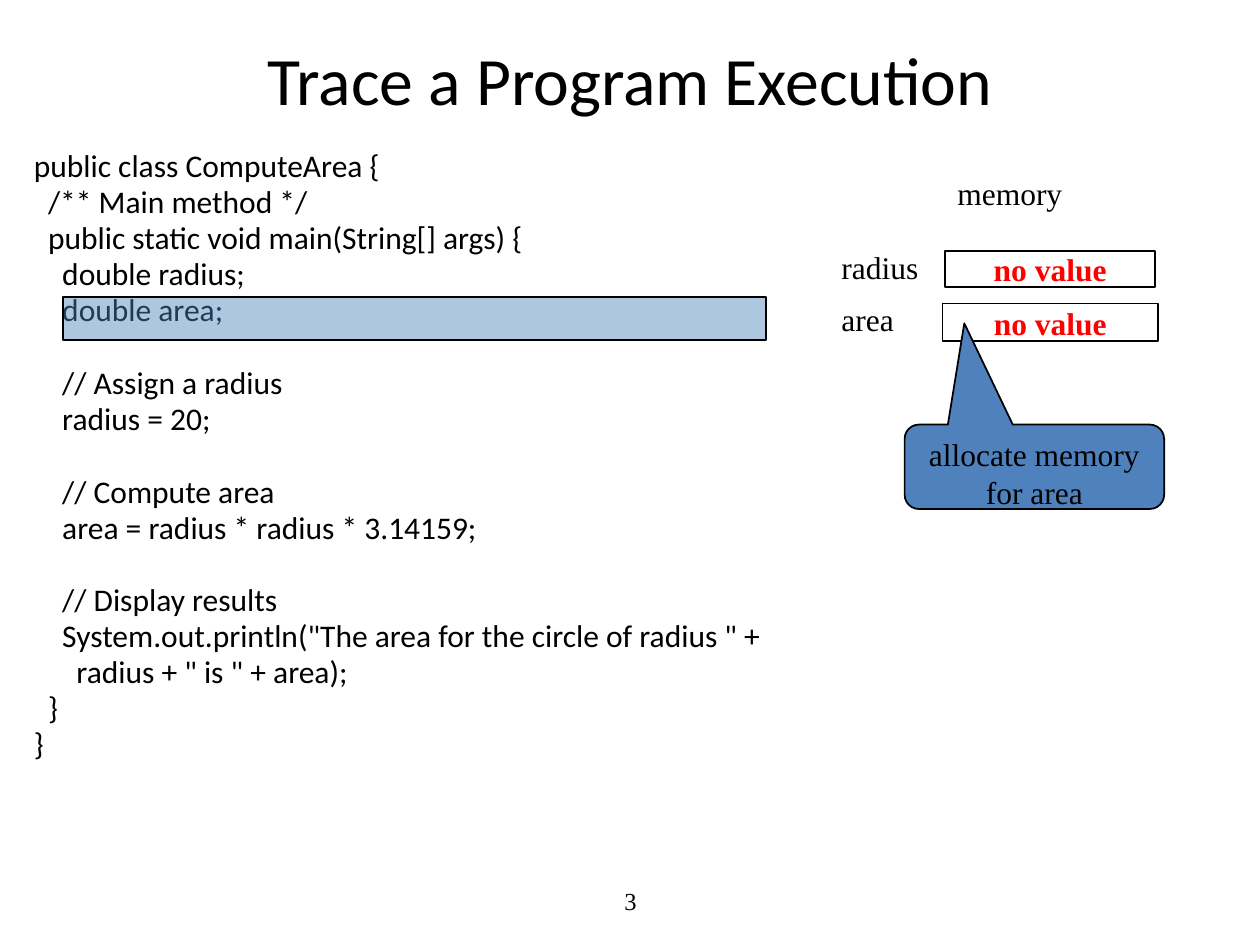
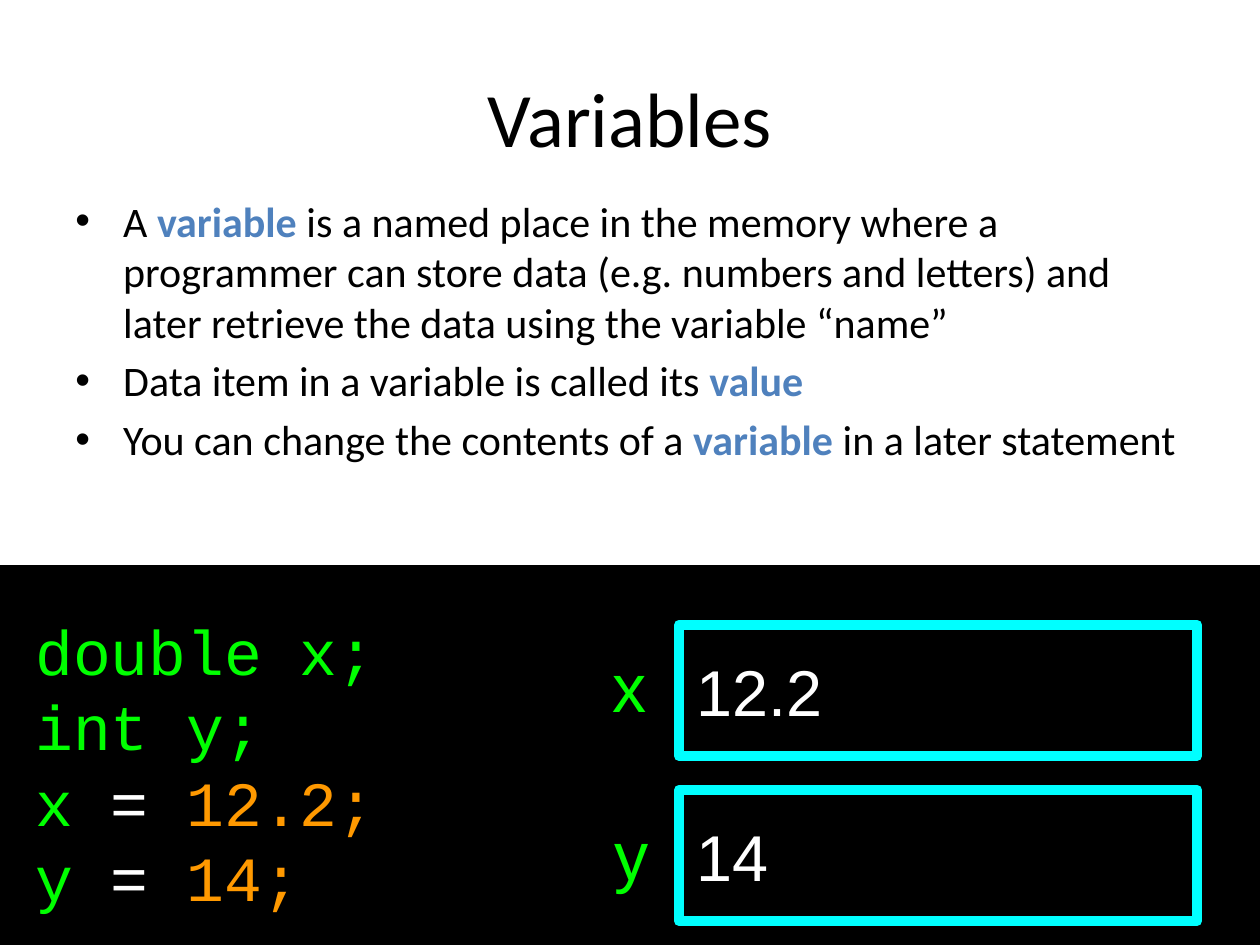
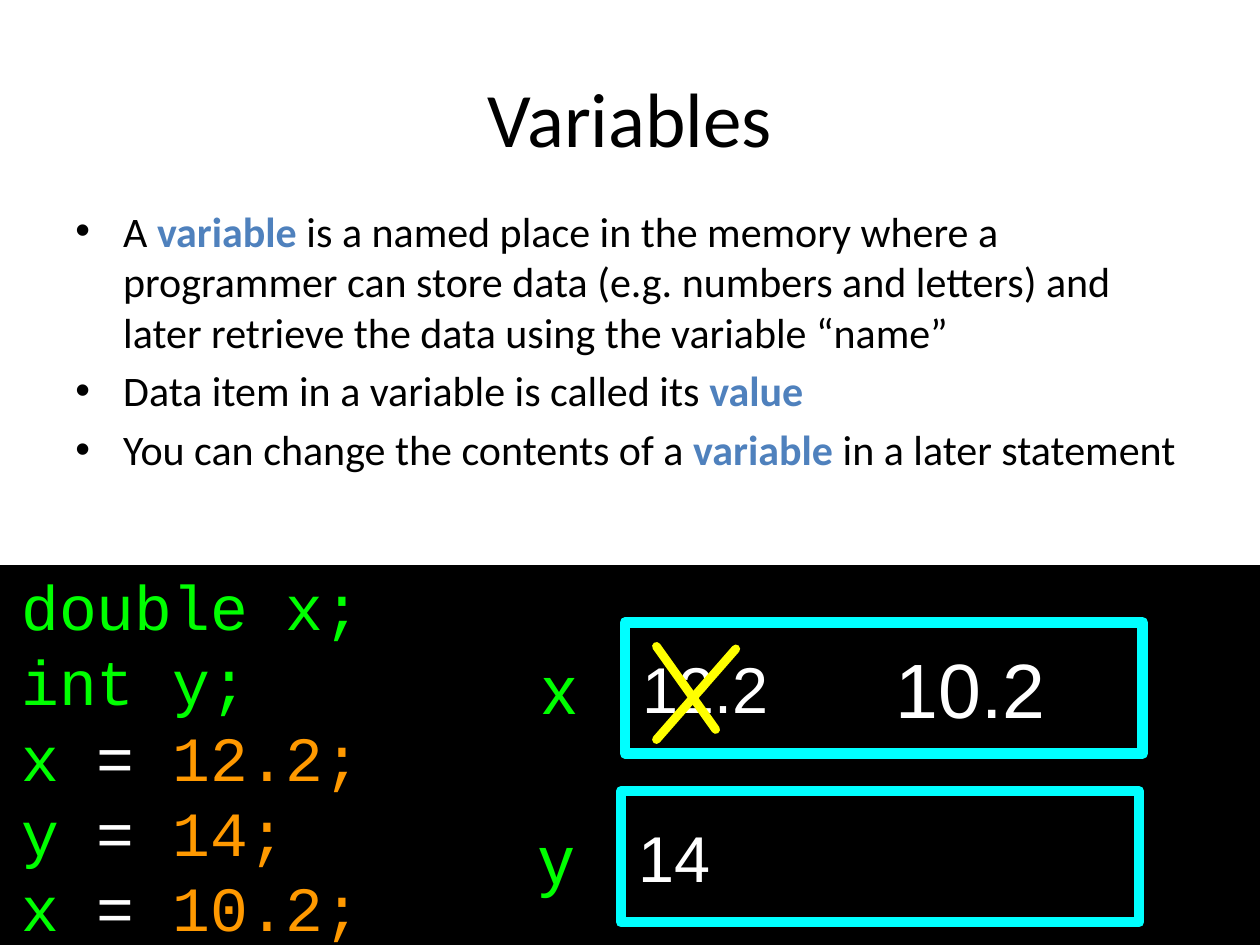
from dataclasses import dataclass

from lxml import etree
from pptx import Presentation
from pptx.dml.color import RGBColor
from pptx.enum.shapes import MSO_CONNECTOR, MSO_SHAPE
from pptx.enum.text import MSO_ANCHOR, PP_ALIGN
from pptx.oxml.ns import qn
from pptx.util import Inches, Pt

RECTANGLE = MSO_SHAPE.RECTANGLE
CALLOUT = MSO_SHAPE.ROUNDED_RECTANGULAR_CALLOUT
STRAIGHT = MSO_CONNECTOR.STRAIGHT
TOP, MIDDLE = MSO_ANCHOR.TOP, MSO_ANCHOR.MIDDLE
LEFT, CENTER = PP_ALIGN.LEFT, PP_ALIGN.CENTER


@dataclass(frozen=True)
class Theme:
    black: str = "000000"
    white: str = "FFFFFF"
    blue: str = "4F81BD"
    red: str = "FF0000"
    green: str = "00FF00"
    orange: str = "FF9900"
    cyan: str = "00FFFF"
    yellow: str = "FFFF00"
    sans: str = "Calibri"
    serif: str = "Times New Roman"
    mono: str = "Courier New"
    label: str = "Arial"
    trace_title: float = 38.7
    title: float = 44
    body: float = 24
    code: float = 36
    value: float = 37
    name: float = 39
    note: float = 18
    number: float = 14


theme = Theme()


def add_box(page, at, kind=None, fill=None, line=None, width=1):
    place = [Inches(length) for length in at]
    if kind is None:
        return page.shapes.add_textbox(*place)
    box = page.shapes.add_shape(kind, *place)
    box.shadow.inherit = False
    if fill:
        box.fill.solid()
        box.fill.fore_color.rgb = RGBColor.from_string(fill)
    else:
        box.fill.background()
    box.line.color.rgb = RGBColor.from_string(line)
    box.line.width = Pt(width)
    return box


def write(box, paragraphs, font, size, align=LEFT, anchor=TOP, insets=None, gap=0, spacing=None):
    frame = box.text_frame
    frame.word_wrap = True
    frame.vertical_anchor = anchor
    if insets is not None:
        frame.margin_left, frame.margin_top, frame.margin_right, frame.margin_bottom = map(Inches, insets)
    for index, parts in enumerate(paragraphs):
        para = frame.add_paragraph() if index else frame.paragraphs[0]
        para.alignment = align
        para.space_before = Pt(gap if index else 0)
        if spacing:
            para.line_spacing = spacing
        for text, color, bold in parts:
            span = para.add_run()
            span.text = text
            span.font.name = font
            span.font.size = Pt(size)
            span.font.bold = bold
            span.font.color.rgb = RGBColor.from_string(color)
    return frame


deck = Presentation()
deck.slide_width, deck.slide_height = Inches(10), Inches(7.5)
blank = deck.slide_layouts[6]

trace = deck.slides.add_slide(blank)
number = add_box(trace, (3.42, 6.95, 3.17, 0.4))
write(number, [[("3", theme.black, False)]], theme.serif, theme.number, CENTER, MIDDLE)
title = add_box(trace, (0.75, 0.33, 8.5, 0.58))
write(title, [[("Trace a Program Execution", theme.black, False)]],
      theme.sans, theme.trace_title, CENTER, MIDDLE)

program = """public class ComputeArea {
  /** Main method */
  public static void main(String[] args) {
    double radius;
    double area;
    // Assign a radius
    radius = 20;
    // Compute area
    area = radius * radius * 3.14159;
    // Display results
    System.out.println("The area for the circle of radius " +
      radius + " is " + area);
  }
}"""
listing = add_box(trace, (0.17, 1.17, 6.08, 5.67))
frame = write(listing, [[(line, theme.black, False)] for line in program.splitlines()],
              theme.sans, theme.note, gap=3.3, spacing=0.8)
for para in frame.paragraphs:
    if para.text.startswith("    //"):
        para.space_before = Pt(24.2)

for text, at in (
    ("memory", (7.5, 1.33, 1.58, 0.4)),
    ("radius", (6.58, 1.92, 0.92, 0.4)),
    ("area", (6.58, 2.33, 0.92, 0.4)),
):
    write(add_box(trace, at), [[(text, theme.black, False)]], theme.serif, theme.note)

for at in ((7.5, 1.99, 1.67, 0.29), (7.48, 2.41, 1.71, 0.3)):
    cell = add_box(trace, at, RECTANGLE, line=theme.black)
    frame = write(cell, [[("no value", theme.red, True)]], theme.serif, theme.note,
                  CENTER, MIDDLE, (0.01, 0.01, 0.01, 0.01))
    frame.word_wrap = False

highlight = add_box(trace, (0.5, 2.36, 5.58, 0.34), RECTANGLE, theme.blue, theme.black)
tint = highlight.element.spPr.find(qn("a:solidFill"))[0]
etree.SubElement(tint, qn("a:alpha"), val="45000")

callout = add_box(trace, (7.18, 3.37, 2.06, 0.67), CALLOUT, theme.blue, theme.black)
for index, adjustment in enumerate((-0.27, -1.7, 0.17)):
    callout.adjustments[index] = adjustment
write(callout, [[("allocate memory for area", theme.black, False)]], theme.serif, theme.note, CENTER)

bullets = [
    [("A ", theme.black, False), ("variable", theme.blue, True),
     (" is a named place in the memory where a programmer can store data (e.g. numbers and letters)"
      " and later retrieve the data using the variable “name”", theme.black, False)],
    [("Data item in a variable is called its ", theme.black, False), ("value", theme.blue, True)],
    [("You can change the contents of a ", theme.black, False), ("variable", theme.blue, True),
     (" in a later statement", theme.black, False)],
]
declarations = [[(text, theme.green, False)] for text in ("double x;", "int y;")]
assignments = [
    [(f"{name} ", theme.green, False), ("= ", theme.white, False), (f"{value};", theme.orange, False)]
    for name, value in (("x", "12.2"), ("y", "14"), ("x", "10.2"))
]
variable_pages = (
    ((0.5, 1.5, 9, 3.49), (0.28, 4.83, 3.31, 2.46), 2, (
        ("x", (4.82, 5.08, 0.36, 0.71), "12.2", (5.39, 4.96)),
        ("y", (4.85, 6.42, 0.33, 0.71), "14", (5.39, 6.27)),
    )),
    ((0.5, 1.58, 9, 2.92), (0.17, 4.5, 3.67, 3), 3, (
        ("x", (4.26, 5.1, 0.36, 0.71), "12.2", (4.96, 4.94)),
        ("y", (4.25, 6.45, 0.33, 0.71), "14", (4.93, 6.28)),
    )),
)
no_insets = (0, 0, 0, 0)

for body_at, code_at, assignment_count, variables in variable_pages:
    page = deck.slides.add_slide(blank)
    title = add_box(page, (0.5, 0.3, 9, 1.25))
    write(title, [[("Variables", theme.black, False)]], theme.sans, theme.title, CENTER, MIDDLE)
    body = add_box(page, body_at)
    frame = write(body, bullets, theme.sans, theme.body, gap=4.8)
    for para in frame.paragraphs:
        properties = para._p.get_or_add_pPr()
        properties.set("marL", str(Inches(0.38)))
        properties.set("indent", str(-Inches(0.38)))
        etree.SubElement(properties, qn("a:buFont"), typeface=theme.label)
        etree.SubElement(properties, qn("a:buChar"), char="•")
    add_box(page, (0, 4.5, 10, 3), RECTANGLE, theme.black, theme.black, 2)
    for name, name_at, value, corner in variables:
        cell = add_box(page, (*corner, 4.11, 1.04), RECTANGLE, line=theme.cyan, width=6)
        write(cell, [[(value, theme.white, False)]], theme.label, theme.value,
              anchor=MIDDLE, insets=(0.14, 0, 0, 0))
        write(add_box(page, name_at), [[(name, theme.green, False)]],
              theme.label, theme.name, CENTER, MIDDLE, no_insets)
    code = add_box(page, code_at)
    write(code, declarations + assignments[:assignment_count], theme.mono, theme.code,
          anchor=MIDDLE, insets=no_insets, spacing=Pt(43))

for ends in ((5.84, 5.15, 5.21, 5.87), (5.21, 5.13, 5.68, 5.79)):
    stroke = page.shapes.add_connector(STRAIGHT, *map(Inches, ends))
    stroke.line.color.rgb = RGBColor.from_string(theme.yellow)
    stroke.line.width = Pt(5)
    outline = stroke.element.spPr
    outline.find(qn("a:ln")).set("cap", "rnd")
    etree.SubElement(outline, qn("a:effectLst"))
new_value = add_box(page, (7.02, 5.07, 1.37, 0.77))
write(new_value, [[("10.2", theme.white, False)]], theme.label, theme.title, CENTER, MIDDLE, no_insets)

deck.save("out.pptx")
